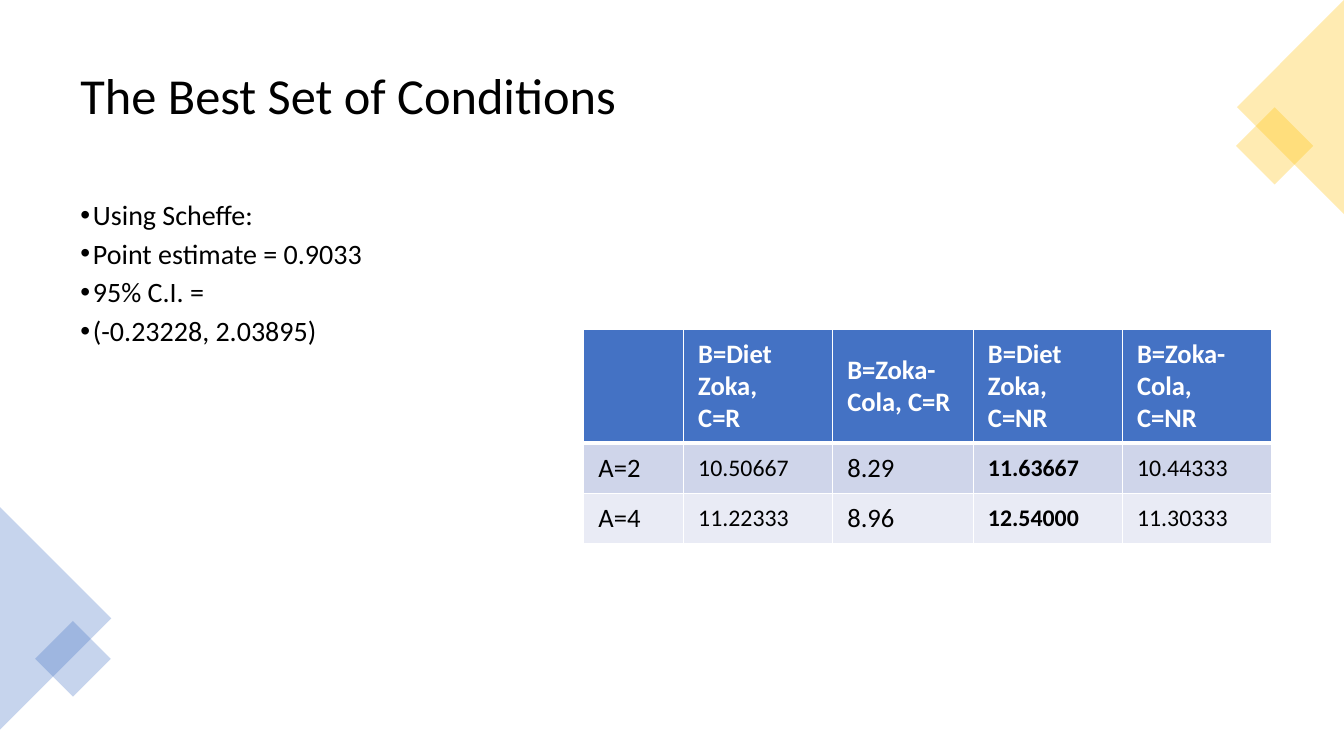
import dataclasses

import lxml.etree
import pptx
import pptx.dml.color
import pptx.enum.shapes
import pptx.enum.text
import pptx.oxml.ns
import pptx.util

EMU_PER_PX = 9525
SHAPE = pptx.enum.shapes.MSO_SHAPE
MIDDLE = pptx.enum.text.MSO_ANCHOR.MIDDLE


@dataclasses.dataclass(frozen=True)
class Theme:
    font: str = "Calibri"
    black: str = "000000"
    white: str = "FFFFFF"
    blue: str = "4472C4"
    gold: str = "FFC000"
    bands: tuple = ("CFD5EA", "E9EBF5")
    title_size: int = 36
    body_size: int = 20
    label_size: int = 19
    value_size: int = 17
    opacity: int = 30


THEME = Theme()
BULLETS = ["Using Scheffe:", "Point estimate = 0.9033", "95% C.I. =", "(-0.23228, 2.03895)"]
CONDITIONS = [
    ["", "B=Diet Zoka,\nC=R", "B=Zoka-Cola, C=R", "B=Diet Zoka, C=NR", "B=Zoka-Cola, C=NR"],
    ["A=2", "10.50667", "8.29", "11.63667", "10.44333"],
    ["A=4", "11.22333", "8.96", "12.54000", "11.30333"],
]
COLUMN_WIDTHS = [95, 142, 134, 142, 142]
ROW_HEIGHTS = [108, 48, 48]
LARGE_COLUMNS = (0, 2)
BEST_COLUMN = 3


def px(length):
    return pptx.util.Emu(length * EMU_PER_PX)


def rgb(color):
    return pptx.dml.color.RGBColor.from_string(color)


def add_element(parent, tag, **attributes):
    element = lxml.etree.SubElement(parent, pptx.oxml.ns.qn(tag))
    for name, value in attributes.items():
        element.set(name, str(value))
    return element


def format_text(frame, size, color=THEME.black, bold=False):
    for para in frame.paragraphs:
        for span in para.runs:
            span.font.name = THEME.font
            span.font.size = pptx.util.Pt(size)
            span.font.bold = bold
            span.font.color.rgb = rgb(color)


def set_title(page, text):
    title = page.shapes.title
    title.left, title.top, title.width, title.height = map(px, (67, 34, 1145, 119))
    frame = title.text_frame
    frame.text = text
    frame.vertical_anchor = MIDDLE
    frame.paragraphs[0].alignment = pptx.enum.text.PP_ALIGN.LEFT
    frame.paragraphs[0].line_spacing = 0.9
    format_text(frame, THEME.title_size)


def add_bullets(page, lines):
    box = page.shapes.add_textbox(px(67), px(187), px(420), px(462))
    frame = box.text_frame
    frame.word_wrap = True
    frame.text = "\n".join(lines)
    for para in frame.paragraphs:
        para.line_spacing = 0.9
        para.space_after = pptx.util.Pt(6)
        properties = para._p.get_or_add_pPr()
        properties.set("marL", str(px(12)))
        properties.set("indent", str(-px(12)))
        add_element(properties, "a:buFont", typeface="Arial")
        add_element(properties, "a:buChar", char="•")
    format_text(frame, THEME.body_size)


def add_corner_shape(page, kind, center, size, rotation, color):
    """Place a translucent shape by its centre, so that turning it is simple."""
    left, top = (middle - length / 2 for middle, length in zip(center, size))
    shape = page.shapes.add_shape(kind, px(round(left)), px(round(top)), px(size[0]), px(size[1]))
    shape.rotation = rotation
    shape.shadow.inherit = False
    shape.line.fill.background()
    shape.fill.solid()
    shape.fill.fore_color.rgb = rgb(color)
    swatch = shape.fill._xPr.find(".//" + pptx.oxml.ns.qn("a:srgbClr"))
    add_element(swatch, "a:alpha", val=THEME.opacity * 1000)


def set_borders(cell, top, bottom):
    """Draw white borders, with the top and bottom widths in points."""
    properties = cell._tc.get_or_add_tcPr()
    for side, width in (("L", 1), ("R", 1), ("T", top), ("B", bottom)):
        line = add_element(properties, "a:ln" + side, w=pptx.util.Pt(width))
        add_element(add_element(line, "a:solidFill"), "a:srgbClr", val=THEME.white)


def format_cell(cell, row, column):
    header = row == 0
    set_borders(cell, 3 if row == 1 else 1, 3 if header else 1)
    cell.fill.solid()
    cell.fill.fore_color.rgb = rgb(THEME.blue if header else THEME.bands[row - 1])
    cell.vertical_anchor = MIDDLE
    cell.margin_left = cell.margin_right = px(14)
    cell.margin_top = cell.margin_bottom = px(7)
    large = header or column in LARGE_COLUMNS
    format_text(
        cell.text_frame,
        THEME.label_size if large else THEME.value_size,
        THEME.white if header else THEME.black,
        header or column == BEST_COLUMN,
    )


def add_conditions_table(page, rows):
    frame = page.shapes.add_table(
        len(rows), len(COLUMN_WIDTHS), px(556), px(314),
        px(sum(COLUMN_WIDTHS)), px(sum(ROW_HEIGHTS)),
    )
    table = frame.table
    for column, width in zip(table.columns, COLUMN_WIDTHS):
        column.width = px(width)
    for row, height in zip(table.rows, ROW_HEIGHTS):
        row.height = px(height)
    for row, texts in enumerate(rows):
        for column, text in enumerate(texts):
            cell = table.cell(row, column)
            cell.text_frame.text = text
            format_cell(cell, row, column)


def main():
    deck = pptx.Presentation()
    deck.slide_width, deck.slide_height = px(1280), px(720)
    page = deck.slides.add_slide(deck.slide_layouts[5])
    set_title(page, "The Best Set of Conditions")
    add_bullets(page, BULLETS)
    add_corner_shape(page, SHAPE.ISOSCELES_TRIANGLE, (53, 589), (212, 106), 90, THEME.blue)
    add_corner_shape(page, SHAPE.RECTANGLE, (70, 627), (51, 51), 45, THEME.blue)
    add_corner_shape(page, SHAPE.RECTANGLE, (1214, 139), (52, 52), 45, THEME.gold)
    add_corner_shape(page, SHAPE.ISOSCELES_TRIANGLE, (1229, 102), (204, 102), 270, THEME.gold)
    add_conditions_table(page, CONDITIONS)
    deck.save("out.pptx")


if __name__ == "__main__":
    main()
